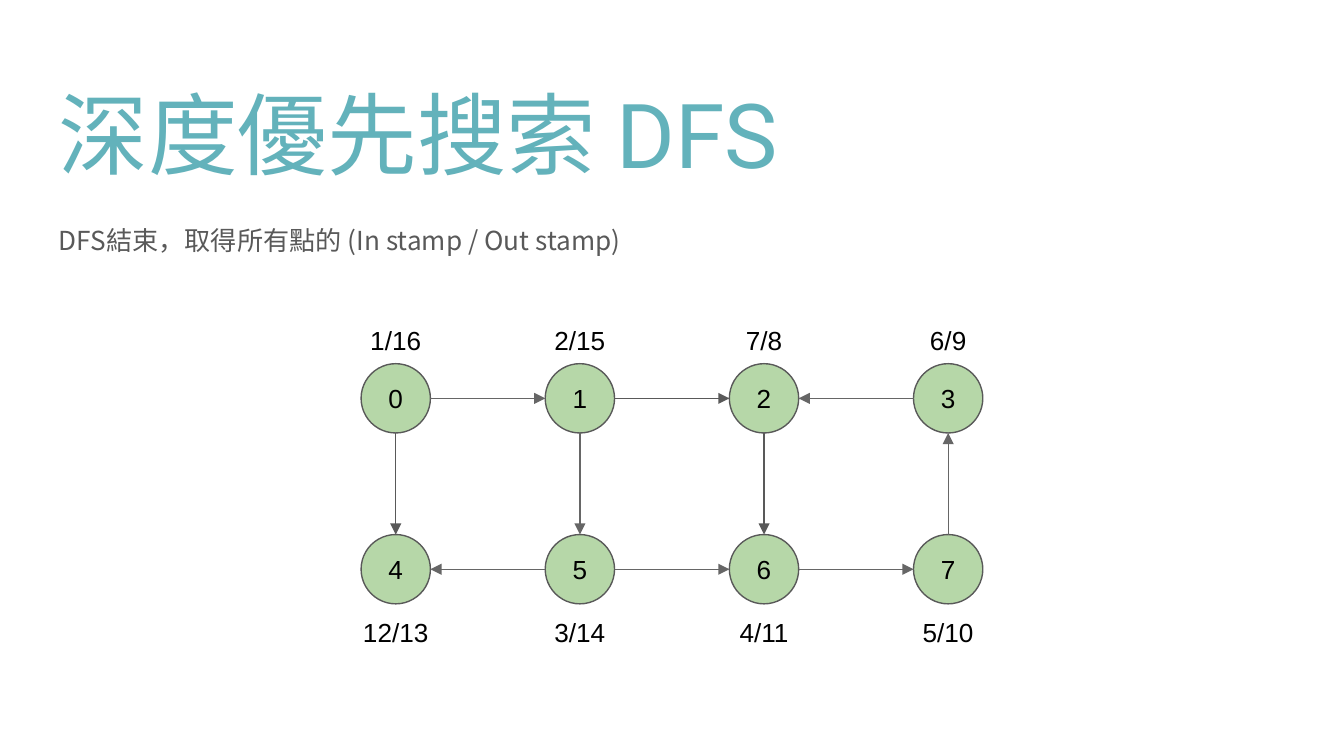
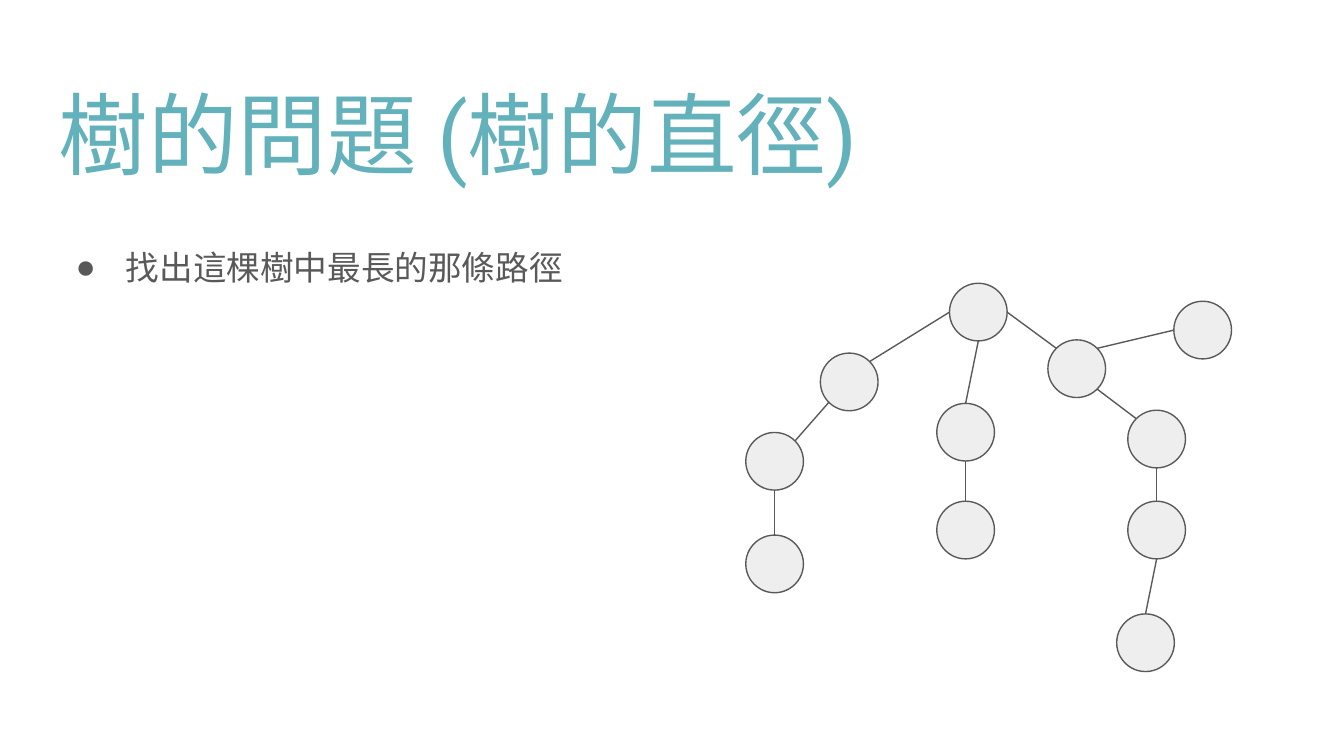
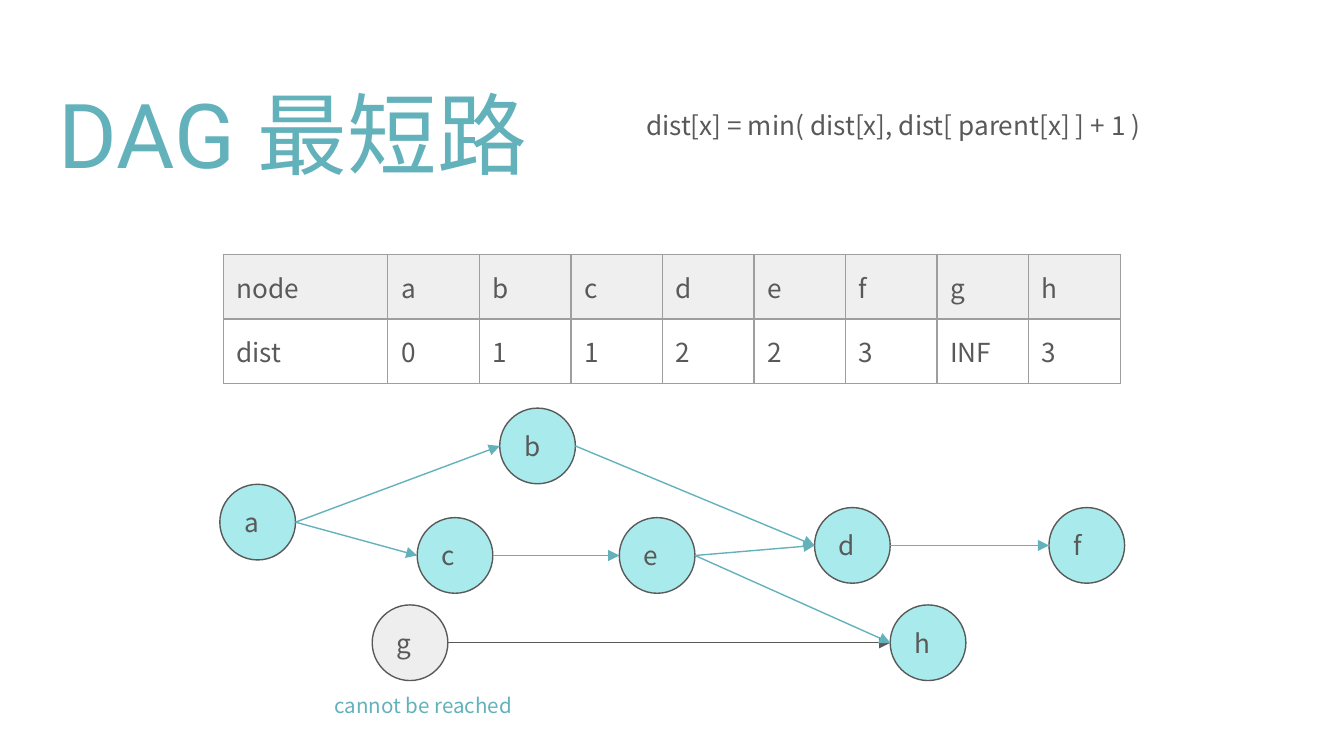
import math

import lxml.etree
import pptx
import pptx.dml.color
import pptx.enum.shapes
import pptx.enum.text
import pptx.oxml.ns
import pptx.util

Cm = pptx.util.Cm
Pt = pptx.util.Pt
qn = pptx.oxml.ns.qn
PP_ALIGN = pptx.enum.text.PP_ALIGN
MSO_ANCHOR = pptx.enum.text.MSO_ANCHOR

COLORS = {
    "teal": "63B2BB",
    "text": "595959",
    "black": "000000",
    "edge": "666666",
    "green": "B6D7A8",
    "aqua": "A9EBED",
    "gray": "EEEEEE",
    "header": "EFEFEF",
    "border": "9E9E9E",
}
HAN_FONT = "Noto Sans CJK TC"
TITLE_FONT = "Roboto"
LABEL_FONT = "Arial"
INSET = Cm(0.25)
LINE_WIDTH = Pt(0.75)
DIAGONAL = math.sqrt(0.5)
SIDES = {
    "top": (0, -1),
    "bottom": (0, 1),
    "left": (-1, 0),
    "right": (1, 0),
    "upper left": (-DIAGONAL, -DIAGONAL),
    "upper right": (DIAGONAL, -DIAGONAL),
    "lower left": (-DIAGONAL, DIAGONAL),
    "lower right": (DIAGONAL, DIAGONAL),
}


def rgb(name):
    return pptx.dml.color.RGBColor.from_string(COLORS[name])


def add_xml(parent, tag, **attributes):
    return lxml.etree.SubElement(parent, qn(tag), attributes)


def write_text(frame, text, size, font=HAN_FONT, color="text",
               align=PP_ALIGN.LEFT, spacing=1.0, anchor=MSO_ANCHOR.TOP):
    frame.word_wrap = True
    frame.auto_size = pptx.enum.text.MSO_AUTO_SIZE.NONE
    frame.vertical_anchor = anchor
    frame.margin_left = frame.margin_right = INSET
    frame.margin_top = frame.margin_bottom = INSET
    para = frame.paragraphs[0]
    para.text = text
    style_paragraph(para, size, font, color, align, spacing)
    return para


def style_paragraph(para, size, font, color, align, spacing):
    para.alignment = align
    para.line_spacing = spacing
    para.space_before = Pt(0)
    para.font.size = Pt(size)
    para.font.name = font
    para.font.color.rgb = rgb(color)
    add_xml(para._p.pPr.find(qn("a:defRPr")), "a:ea", typeface=HAN_FONT)


def place(shape, left, top, width, height):
    shape.left, shape.top = Cm(left), Cm(top)
    shape.width, shape.height = Cm(width), Cm(height)


def add_page(deck, title, layout="Title Only"):
    page = deck.slides.add_slide(deck.slide_layouts.get_by_name(layout))
    place(page.shapes.title, 0.86, 1.24, 23.67, 2.51)
    write_text(page.shapes.title.text_frame, title, 48, TITLE_FONT, "teal")
    return page


def add_bullet(page, text):
    body = page.placeholders[1]
    place(body, 0.86, 4.04, 23.67, 8.64)
    properties = body.text_frame.paragraphs[0]._p.get_or_add_pPr()
    properties.set("marL", str(Cm(1.27)))
    properties.set("indent", str(-Cm(0.95)))
    add_xml(add_xml(properties, "a:buClr"), "a:srgbClr", val=COLORS["text"])
    add_xml(properties, "a:buChar", char="●")
    write_text(body.text_frame, text, 18, spacing=1.5)


def add_text(page, text, left, top, width, height, size=14, **style):
    box = page.shapes.add_textbox(Cm(left), Cm(top), Cm(width), Cm(height))
    write_text(box.text_frame, text, size, **style)


def add_node(page, center, diameter, fill, text="", **style):
    x, y = center
    node = page.shapes.add_shape(
        pptx.enum.shapes.MSO_SHAPE.OVAL,
        Cm(x - diameter / 2), Cm(y - diameter / 2), Cm(diameter), Cm(diameter))
    node.shadow.inherit = False
    node.fill.solid()
    node.fill.fore_color.rgb = rgb(fill)
    node.line.color.rgb = rgb("text")
    node.line.width = LINE_WIDTH
    if text:
        write_text(node.text_frame, text, 14, anchor=MSO_ANCHOR.MIDDLE, **style)
    return node


def rim_point(node, side):
    across, down = SIDES[side]
    radius = node.width / 2
    return (round(node.left + radius * (1 + across)),
            round(node.top + radius * (1 + down)))


def add_edge(page, start, start_side, end, end_side, color="text", arrow=True):
    edge = page.shapes.add_connector(
        pptx.enum.shapes.MSO_CONNECTOR.STRAIGHT,
        *rim_point(start, start_side), *rim_point(end, end_side))
    edge.line.color.rgb = rgb(color)
    edge.line.width = LINE_WIDTH
    if arrow:
        add_xml(edge.line._get_or_add_ln(), "a:tailEnd", type="triangle")
    add_xml(edge._element.spPr, "a:effectLst")


def facing_sides(start, end):
    if start.top == end.top:
        return ("right", "left") if start.left < end.left else ("left", "right")
    return ("bottom", "top") if start.top < end.top else ("top", "bottom")


def add_cell_borders(cell):
    properties = cell._tc.get_or_add_tcPr()
    for tag in ("a:lnL", "a:lnR", "a:lnT", "a:lnB"):
        border = add_xml(properties, tag, w=str(LINE_WIDTH))
        add_xml(add_xml(border, "a:solidFill"), "a:srgbClr", val=COLORS["border"])


def add_distance_table(page, rows):
    widths = [3.11] + [1.73] * (len(rows[0]) - 1)
    height = 1.08
    table = page.shapes.add_table(
        len(rows), len(widths), Cm(4.22), Cm(4.81),
        Cm(sum(widths)), Cm(height * len(rows))).table
    table.first_row = table.horz_banding = False
    for column, width in zip(table.columns, widths):
        column.width = Cm(width)
    for row_index, values in enumerate(rows):
        table.rows[row_index].height = Cm(height)
        for column_index, value in enumerate(values):
            fill_cell(table.cell(row_index, column_index), value, row_index == 0)


def fill_cell(cell, value, is_header):
    add_cell_borders(cell)
    if is_header:
        cell.fill.solid()
        cell.fill.fore_color.rgb = rgb("header")
    else:
        cell.fill.background()
    cell.margin_left = cell.margin_right = INSET
    cell.margin_top = cell.margin_bottom = INSET
    para = cell.text_frame.paragraphs[0]
    para.text = value
    style_paragraph(para, 14, HAN_FONT, "text", PP_ALIGN.LEFT, 1.0)


def build_depth_first_page(deck):
    page = add_page(deck, "深度優先搜索 DFS")
    label_style = {"font": LABEL_FONT, "color": "black", "align": PP_ALIGN.CENTER}
    stamp_rows = [
        (7.53, 5.89, ["1/16", "2/15", "7/8", "6/9"]),
        (10.76, 11.4, ["12/13", "3/14", "4/11", "5/10"]),
    ]
    nodes = []
    for node_y, stamp_top, stamps in stamp_rows:
        for column, stamp in enumerate(stamps):
            x = 7.48 + 3.48 * column
            nodes.append(add_node(page, (x, node_y), 1.31, "green",
                                  str(len(nodes)), **label_style))
            add_text(page, stamp, x - 1, stamp_top, 2, 1, **label_style)
    edges = {
        "edge": [(0, 1), (1, 5), (5, 4), (3, 2), (5, 6), (6, 7), (7, 3)],
        "text": [(1, 2), (2, 6), (0, 4)],
    }
    for color, pairs in edges.items():
        for first, second in pairs:
            start, end = nodes[first], nodes[second]
            start_side, end_side = facing_sides(start, end)
            add_edge(page, start, start_side, end, end_side, color)
    add_text(page, "DFS結束，取得所有點的 (In stamp / Out stamp)",
             0.86, 3.99, 18.34, 1.68)


def build_tree_page(deck):
    page = add_page(deck, "樹的問題 (樹的直徑)", "Title and Content")
    add_bullet(page, "找出這棵樹中最長的那條路徑")
    centers = {
        "root": (18.49, 5.9),
        "left 1": (16.05, 7.22),
        "left 2": (14.64, 8.72),
        "left 3": (14.64, 10.66),
        "middle 1": (18.25, 8.17),
        "middle 2": (18.25, 10.02),
        "right 1": (20.35, 6.97),
        "right 2": (21.86, 8.3),
        "right 3": (21.86, 10.02),
        "right 4": (21.65, 12.15),
        "branch": (22.73, 6.24),
    }
    nodes = {name: add_node(page, center, 1.09, "gray")
             for name, center in centers.items()}
    edges = [
        ("root", "left", "left 1", "upper right"),
        ("left 1", "lower left", "left 2", "upper right"),
        ("left 2", "bottom", "left 3", "top"),
        ("root", "bottom", "middle 1", "top"),
        ("middle 1", "bottom", "middle 2", "top"),
        ("root", "right", "right 1", "upper left"),
        ("right 1", "upper right", "branch", "left"),
        ("right 1", "lower right", "right 2", "upper left"),
        ("right 2", "bottom", "right 3", "top"),
        ("right 3", "bottom", "right 4", "top"),
    ]
    for parent, parent_side, child, child_side in edges:
        add_edge(page, nodes[parent], parent_side, nodes[child], child_side,
                 arrow=False)


def build_shortest_path_page(deck):
    page = add_page(deck, "DAG 最短路")
    add_text(page, "dist[x] = min( dist[x], dist[ parent[x] ] + 1 )",
             11.96, 1.73, 10.36, 2.51, spacing=1.15)
    add_distance_table(page, [
        ["node", "a", "b", "c", "d", "e", "f", "g", "h"],
        ["dist", "0", "1", "1", "2", "2", "3", "INF", "3"],
    ])
    centers = {
        "a": (4.87, 9.87),
        "b": (10.16, 8.43),
        "c": (8.6, 10.5),
        "d": (16.11, 10.31),
        "e": (12.42, 10.5),
        "f": (20.54, 10.31),
        "g": (7.75, 12.15),
        "h": (17.54, 12.15),
    }
    nodes = {name: add_node(page, center, 1.43,
                            "gray" if name == "g" else "aqua", name)
             for name, center in centers.items()}
    for start, end in ("gh", "ab", "ac", "ce", "ed", "eh", "bd", "df"):
        add_edge(page, nodes[start], "right", nodes[end], "left",
                 "text" if start == "g" else "teal")
    add_text(page, "cannot be reached", 6.07, 12.78, 3.99, 1.07,
             size=11, color="teal", spacing=1.15)


def main():
    deck = pptx.Presentation()
    deck.slide_width, deck.slide_height = Cm(25.4), Cm(14.29)
    build_depth_first_page(deck)
    build_tree_page(deck)
    build_shortest_path_page(deck)
    deck.save("out.pptx")


if __name__ == "__main__":
    main()
